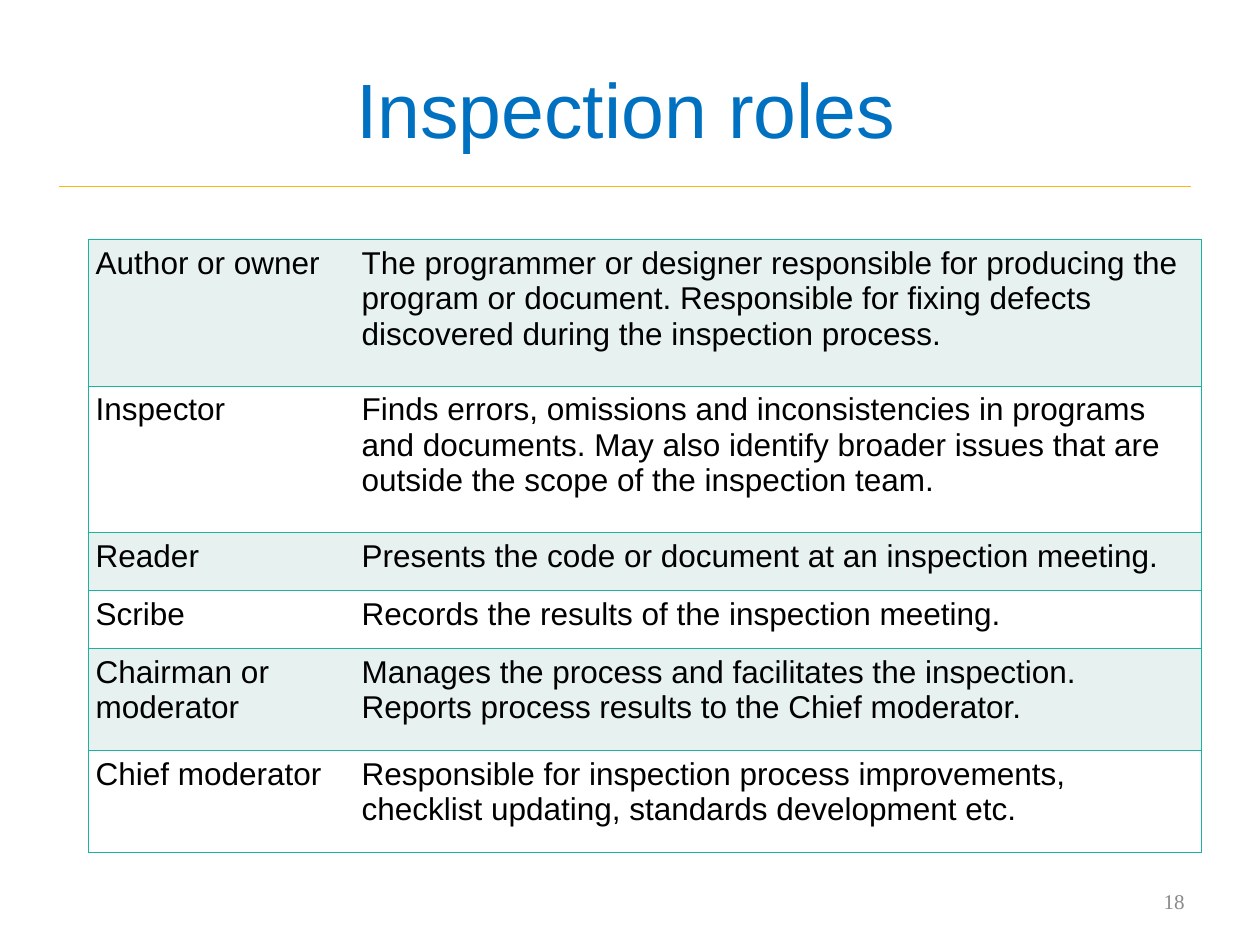
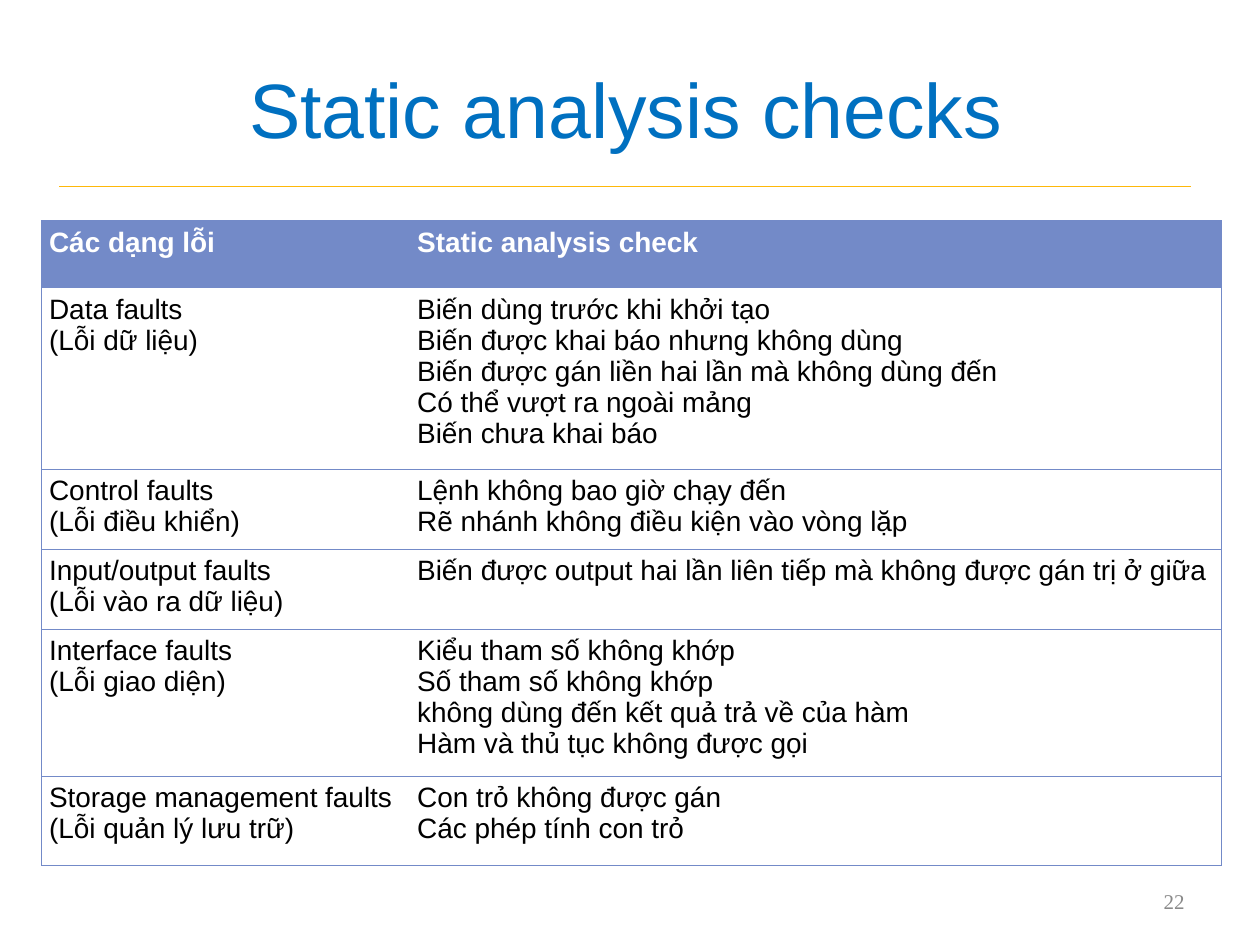
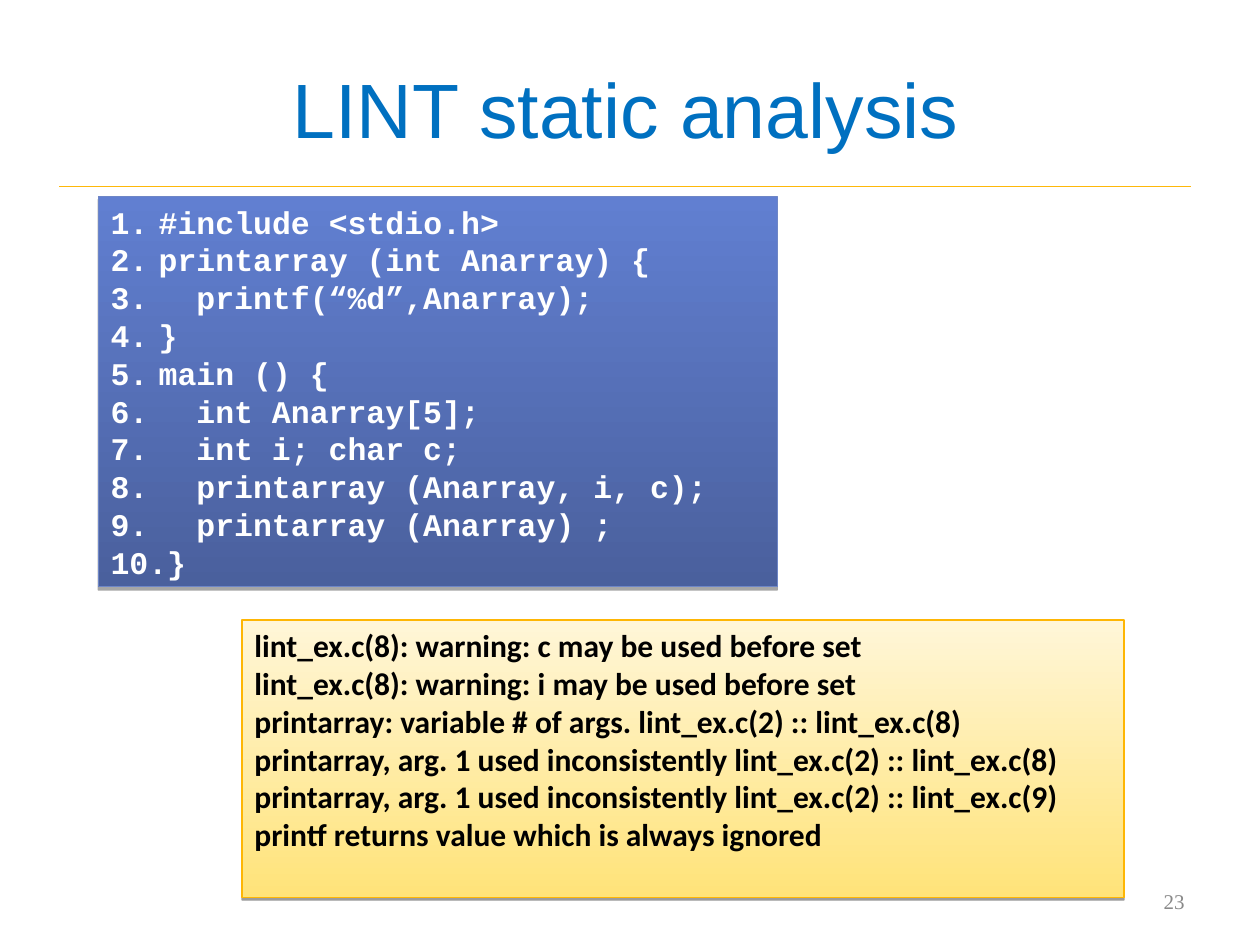
from lxml import etree
from pptx import Presentation
from pptx import util as u
from pptx.dml.color import RGBColor
from pptx.enum import shapes, text
from pptx.oxml.ns import qn

BLUE = RGBColor(0x00, 0x70, 0xC0)
AMBER = RGBColor(0xFE, 0xB8, 0x0A)
GREY = RGBColor(0x89, 0x89, 0x89)
BLACK = RGBColor(0x00, 0x00, 0x00)
WHITE = RGBColor(0xFF, 0xFF, 0xFF)
TEAL = RGBColor(0x1A, 0xB3, 0x9F)
MINT = RGBColor(0xE7, 0xF2, 0xF0)
PERIWINKLE = RGBColor(0x73, 0x8A, 0xC8)
NAVY = RGBColor(0x4A, 0x60, 0x9D)
CORNFLOWER = RGBColor(0x61, 0x7F, 0xD1)
CODE_EDGE = RGBColor(0x6E, 0x86, 0xC6)
YELLOW = RGBColor(0xFF, 0xE3, 0x79)
CREAM = RGBColor(0xFF, 0xF6, 0xD8)
WARNING_EDGE = RGBColor(0xFE, 0xB6, 0x04)

PLAIN_TABLE_STYLE = "{2D5ABB26-0587-4C30-8999-92F81FD0307C}"
HANGING = 0.97
CODE_INDENT = 0.76

ROLES = [
    ("Author or owner", "The programmer or designer responsible for producing the program or document. "
     "Responsible for fixing defects discovered during the inspection process."),
    ("Inspector", "Finds errors, omissions and inconsistencies in programs and documents. "
     "May also identify broader issues that are outside the scope of the inspection team."),
    ("Reader", "Presents the code or document at an inspection meeting."),
    ("Scribe", "Records the results of the inspection meeting."),
    ("Chairman or moderator", "Manages the process and facilitates the inspection. "
     "Reports process results to the Chief moderator."),
    ("Chief moderator", "Responsible for inspection process improvements, checklist updating, "
     "standards development etc."),
]
CHECKS = [
    ("Các dạng lỗi", "Static analysis check"),
    ("Data faults\n(Lỗi dữ liệu)",
     "Biến dùng trước khi khởi tạo\nBiến được khai báo nhưng không dùng\n"
     "Biến được gán liền hai lần mà không dùng đến\nCó thể vượt ra ngoài mảng\nBiến chưa khai báo"),
    ("Control faults\n(Lỗi điều khiển)",
     "Lệnh không bao giờ chạy đến\nRẽ nhánh không điều kiện vào vòng lặp"),
    ("Input/output faults\n(Lỗi vào ra dữ liệu)",
     "Biến được output hai lần liên tiếp mà không được gán trị ở giữa"),
    ("Interface faults\n(Lỗi giao diện)",
     "Kiểu tham số không khớp\nSố tham số không khớp\n"
     "không dùng đến kết quả trả về của hàm\nHàm và thủ tục không được gọi"),
    ("Storage management faults\n(Lỗi quản lý lưu trữ)", "Con trỏ không được gán\nCác phép tính con trỏ"),
]
CODE = [
    (0, "#include <stdio.h>"),
    (0, "printarray (int Anarray) {"),
    (1, "printf(“%d”,Anarray);"),
    (0, "}"),
    (0, "main () {"),
    (1, "int Anarray[5];"),
    (1, "int i; char c;"),
    (1, "printarray (Anarray, i, c);"),
    (1, "printarray (Anarray) ;"),
    (0, "}"),
]
WARNINGS = [
    "lint_ex.c(8): warning: c may be used before set",
    "lint_ex.c(8): warning: i may be used before set",
    "printarray: variable # of args. lint_ex.c(2) :: lint_ex.c(8)",
    "printarray, arg. 1 used inconsistently lint_ex.c(2) :: lint_ex.c(8)",
    "printarray, arg. 1 used inconsistently lint_ex.c(2) :: lint_ex.c(9)",
    "printf returns value which is always ignored",
]


def cm(*values):
    """Turn plain numbers into lengths."""
    return [u.Cm(value) for value in values]


def write(frame, words, font, size, color, bold=False, align=text.PP_ALIGN.LEFT):
    """Fill a text frame and format every run alike."""
    frame.text = words
    frame.word_wrap = True
    for para in frame.paragraphs:
        para.alignment = align
        for span in para.runs:
            span.font.name = font
            span.font.size = u.Pt(size)
            span.font.bold = bold
            span.font.color.rgb = color


def add_page(deck, title, number):
    """Add a slide with its title, rule and page number."""
    page = deck.slides.add_slide(deck.slide_layouts[5])
    heading = page.shapes.title
    heading.left, heading.top, heading.width, heading.height = cm(1.19, 0.58, 22.86, 3.18)
    write(heading.text_frame, title, "Arial", 44, BLUE, align=text.PP_ALIGN.CENTER)
    heading.text_frame.vertical_anchor = text.MSO_ANCHOR.MIDDLE

    rule = page.shapes.add_connector(shapes.MSO_CONNECTOR.STRAIGHT, *cm(1.19, 3.76, 24, 3.76))
    rule.line.color.rgb = AMBER
    rule.line.width = u.Pt(0.75)
    etree.SubElement(rule._element.spPr, qn("a:effectLst"))

    footer = page.shapes.add_textbox(*cm(18.21, 17.65, 5.92, 1.02))
    write(footer.text_frame, str(number), "Times New Roman", 12, GREY, align=text.PP_ALIGN.RIGHT)
    footer.text_frame.vertical_anchor = text.MSO_ANCHOR.MIDDLE
    return page


def draw_borders(cell, sides, color):
    """Give a cell thin borders on the named sides."""
    properties = cell._tc.get_or_add_tcPr()
    for side in sides:
        border = etree.SubElement(properties, qn(f"a:ln{side}"), w=str(u.Pt(0.45)))
        fill = etree.SubElement(border, qn("a:solidFill"))
        etree.SubElement(fill, qn("a:srgbClr"), val=str(color))


def add_grid(page, left, top, widths, heights, rows, size, edge, fills, header=False,
             align=text.PP_ALIGN.LEFT):
    """Add a two-column table whose row fills cycle through the given colours."""
    box = cm(left, top, sum(widths), sum(heights))
    table = page.shapes.add_table(len(rows), len(widths), *box).table
    table.first_row = header
    table.horz_banding = False
    table._tbl.tblPr.find(qn("a:tableStyleId")).text = PLAIN_TABLE_STYLE
    for column, width in zip(table.columns, widths):
        column.width = u.Cm(width)
    for index, (row, height) in enumerate(zip(rows, heights)):
        table.rows[index].height = u.Cm(height)
        is_header = header and index == 0
        for cell, words, sides in zip(table.rows[index].cells, row, ("LTB", "RTB")):
            cell.margin_left = cell.margin_right = u.Cm(0.15)
            draw_borders(cell, sides, edge)
            cell.fill.solid()
            cell.fill.fore_color.rgb = edge if is_header else fills[index % len(fills)]
            write(cell.text_frame, words, "Arial", size, WHITE if is_header else BLACK,
                  is_header, text.PP_ALIGN.LEFT if is_header else align)


def add_panel(page, box, bottom, top, edge, opacity, distance):
    """Add a rectangle with an upward gradient and a sharp shadow below."""
    panel = page.shapes.add_shape(shapes.MSO_SHAPE.RECTANGLE, *cm(*box))
    panel.fill.gradient()
    panel.fill.gradient_angle = 90
    for stop, color in zip(panel.fill.gradient_stops, (bottom, top)):
        stop.color.rgb = color
    panel.line.color.rgb = edge
    panel.line.width = u.Pt(0.75)
    panel.shadow.inherit = False
    effects = panel._element.spPr.find(qn("a:effectLst"))
    shadow = etree.SubElement(effects, qn("a:outerShdw"), blurRad="0", dist=str(u.Pt(distance)),
                              dir="5400000", rotWithShape="0")
    tint = etree.SubElement(shadow, qn("a:srgbClr"), val=str(BLACK))
    etree.SubElement(tint, qn("a:alpha"), val=str(opacity * 1000))
    return panel


def add_code(page, box):
    """Add the numbered program listing."""
    panel = add_panel(page, box, NAVY, CORNFLOWER, CODE_EDGE, 35, 1.8)
    frame = panel.text_frame
    write(frame, "\n".join(line for _, line in CODE), "Courier New", 18, WHITE, True)
    frame.vertical_anchor = text.MSO_ANCHOR.MIDDLE
    for para, (level, _) in zip(frame.paragraphs, CODE):
        margin = u.Cm(HANGING + level * CODE_INDENT)
        properties = para._p.get_or_add_pPr()
        properties.set("marL", str(margin))
        properties.set("indent", str(-margin))
        etree.SubElement(properties, qn("a:buAutoNum"), type="arabicPeriod")


def add_warnings(page, box):
    """Add the analyser's output."""
    panel = add_panel(page, box, YELLOW, CREAM, WARNING_EDGE, 38, 1.6)
    write(panel.text_frame, "\n".join(WARNINGS), "Calibri", 18, BLACK, True)
    panel.text_frame.vertical_anchor = text.MSO_ANCHOR.TOP


def main():
    """Build and save the deck."""
    deck = Presentation()
    deck.slide_width, deck.slide_height = cm(25.4, 19.05)

    page = add_page(deck, "Inspection roles", 18)
    add_grid(page, 1.78, 4.83, (5.36, 17.07), (2.95, 2.95, 1.17, 1.17, 2.06, 2.06),
             ROLES, 18, TEAL, (MINT, WHITE))

    page = add_page(deck, "Static analysis checks", 22)
    add_grid(page, 0.84, 4.45, (7.42, 16.36), (1.35, 3.66, 1.61, 1.61, 2.97, 1.8),
             CHECKS, 16, PERIWINKLE, (WHITE,), header=True, align=text.PP_ALIGN.JUSTIFY)

    page = add_page(deck, "LINT static analysis", 23)
    add_warnings(page, (4.88, 12.5, 17.78, 5.59))
    add_code(page, (1.98, 3.96, 13.69, 7.87))

    deck.save("out.pptx")


if __name__ == "__main__":
    main()
